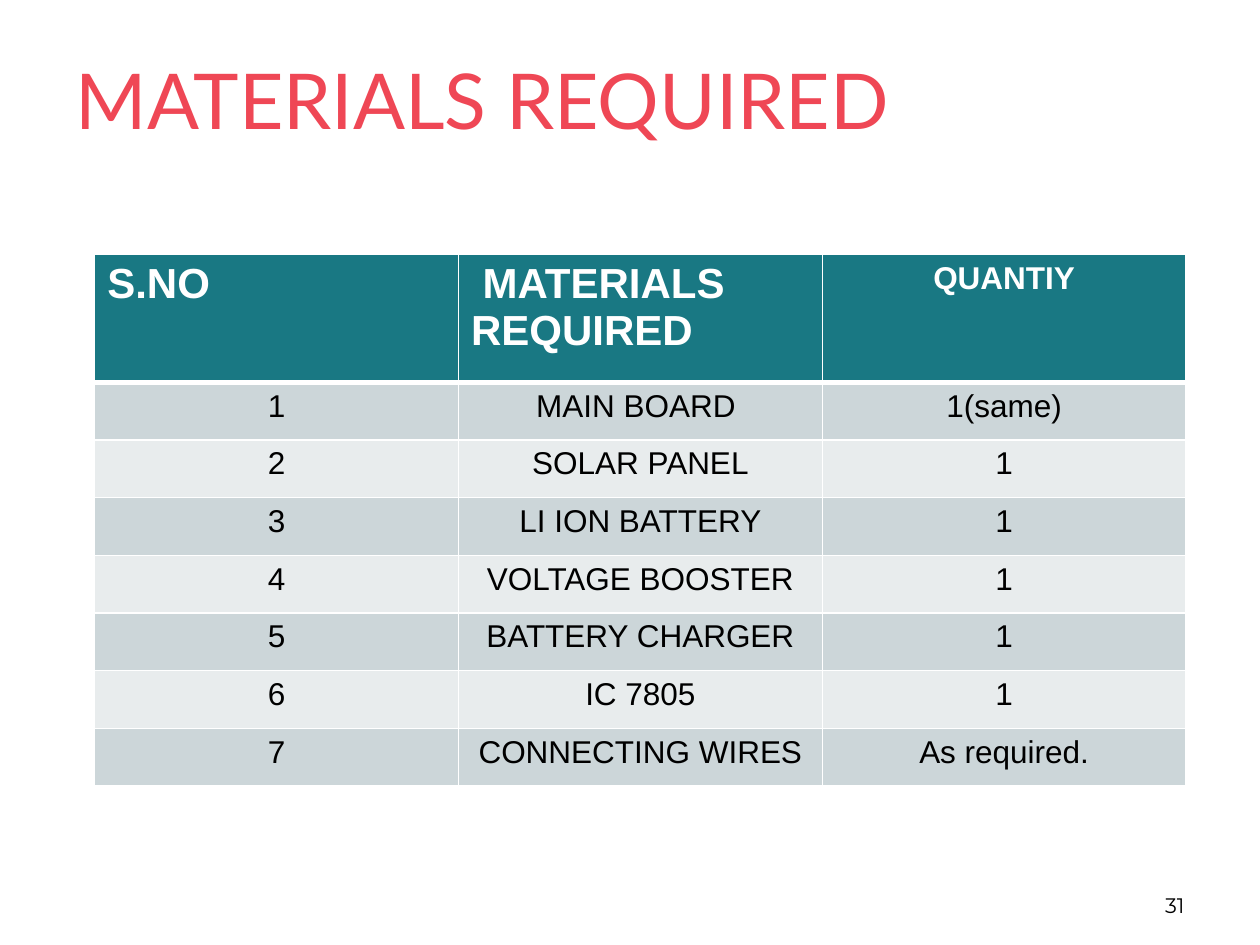
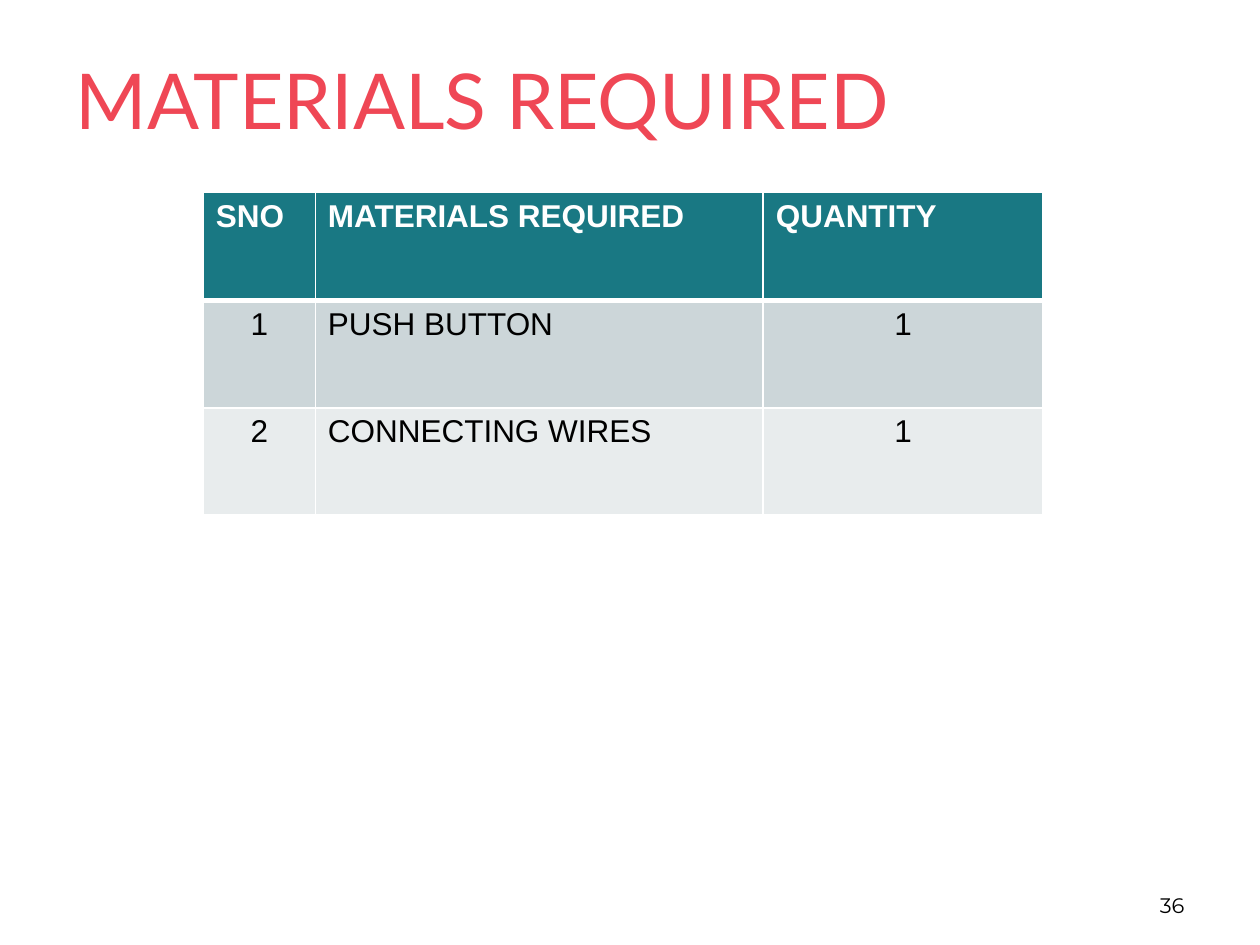
from dataclasses import dataclass

from lxml.etree import SubElement
from pptx import Presentation
from pptx.dml.color import RGBColor
from pptx.enum.text import MSO_ANCHOR, MSO_AUTO_SIZE, PP_ALIGN
from pptx.oxml.ns import qn
from pptx.util import Cm, Pt


@dataclass(frozen=True)
class Theme:
    accent: str = "EF4755"
    header: str = "197883"
    bands: tuple = ("CCD6D9", "E8ECED")
    white: str = "FFFFFF"
    black: str = "000000"
    title_font: str = "Lato"
    table_font: str = "Arial"
    number_font: str = "Montserrat"
    title_size: int = 44
    large_header_size: int = 24
    table_size: int = 18
    number_size: int = 12
    rule: int = 1
    header_rule: int = 3


THEME = Theme()
TITLE_ONLY = 5
LEFT, CENTER, RIGHT = PP_ALIGN.LEFT, PP_ALIGN.CENTER, PP_ALIGN.RIGHT

# Boxes are left, top, width, height in centimetres
TITLE_BOX = (1.27, 1.27, 22.86, 1.45)
NUMBER_BOX = (18.21, 17.35, 5.92, 1.27)


def write_text(frame, text, *, font, size, color, bold=False, align=LEFT):
    paragraph = frame.paragraphs[0]
    paragraph.alignment = align
    run = paragraph.add_run()
    run.text = text
    run.font.name = font
    run.font.size = Pt(size)
    run.font.bold = bold
    run.font.color.rgb = RGBColor.from_string(color)


def add_title(slide, text, box):
    title = slide.shapes.title
    title.left, title.top, title.width, title.height = map(Cm, box)
    frame = title.text_frame
    frame.auto_size = MSO_AUTO_SIZE.NONE
    frame.vertical_anchor = MSO_ANCHOR.MIDDLE
    write_text(frame, text, font=THEME.title_font, size=THEME.title_size,
               color=THEME.accent)


def add_page_number(slide, number, box):
    frame = slide.shapes.add_textbox(*map(Cm, box)).text_frame
    frame.word_wrap = True
    frame.vertical_anchor = MSO_ANCHOR.BOTTOM
    write_text(frame, str(number), font=THEME.number_font,
               size=THEME.number_size, color=THEME.black, align=RIGHT)


def style_cell(cell, fill, top, bottom):
    """Fill a cell and rule its sides; top and bottom are widths in points."""
    cell.fill.solid()
    cell.fill.fore_color.rgb = RGBColor.from_string(fill)
    properties = cell._tc.get_or_add_tcPr()
    sides = (("L", THEME.rule), ("R", THEME.rule), ("T", top), ("B", bottom))
    for index, (side, width) in enumerate(sides):
        line = SubElement(properties, qn(f"a:ln{side}"), w=str(Pt(width)))
        color = SubElement(SubElement(line, qn("a:solidFill")), qn("a:srgbClr"))
        color.set("val", THEME.white)
        properties.insert(index, line)  # borders come before the fill


def add_materials_table(slide, rows, box, column_shares, header_height,
                        header_formats, body_aligns):
    left, top, width, height = box
    frame = slide.shapes.add_table(len(rows), len(rows[0]), *map(Cm, box))
    table = frame.table

    # Grid: columns by share, body rows of equal height
    for column, share in zip(table.columns, column_shares):
        column.width = Cm(width * share / sum(column_shares))
    body_height = (height - header_height) / (len(rows) - 1)
    for index, row in enumerate(table.rows):
        row.height = Cm(body_height if index else header_height)

    # Cells: a header, then alternating bands
    for row_index, values in enumerate(rows):
        is_header = row_index == 0
        fill = THEME.header if is_header else THEME.bands[(row_index - 1) % 2]
        top_rule = THEME.header_rule if row_index == 1 else THEME.rule
        bottom_rule = THEME.header_rule if is_header else THEME.rule
        for column_index, value in enumerate(values):
            cell = table.cell(row_index, column_index)
            style_cell(cell, fill, top_rule, bottom_rule)
            if is_header:
                size, align = header_formats[column_index]
            else:
                size, align = THEME.table_size, body_aligns[column_index]
            write_text(cell.text_frame, value, font=THEME.table_font, size=size,
                       color=THEME.white if is_header else THEME.black,
                       bold=is_header, align=align)


def add_materials_slide(presentation, number, **table):
    layout = presentation.slide_layouts[TITLE_ONLY]
    slide = presentation.slides.add_slide(layout)
    add_title(slide, "MATERIALS REQUIRED", TITLE_BOX)
    add_materials_table(slide, **table)
    add_page_number(slide, number, NUMBER_BOX)


def main():
    presentation = Presentation()
    presentation.slide_width = Cm(25.4)
    presentation.slide_height = Cm(19.05)

    # Main circuit
    add_materials_slide(
        presentation, 31,
        rows=[
            ("S.NO", " MATERIALS REQUIRED", "QUANTIY"),
            ("1", "MAIN BOARD ", "1(same)"),
            ("2", "SOLAR PANEL", "1"),
            ("3", "LI ION BATTERY", "1"),
            ("4", "VOLTAGE BOOSTER", "1"),
            ("5", "BATTERY CHARGER", "1"),
            ("6", "IC 7805", "1"),
            ("7", "CONNECTING WIRES", "As required."),
        ],
        box=(1.91, 5.13, 22, 10.72),
        column_shares=(1, 1, 1),
        header_height=2.58,
        header_formats=[(THEME.large_header_size, LEFT),
                        (THEME.large_header_size, LEFT),
                        (THEME.table_size, CENTER)],
        body_aligns=(CENTER, CENTER, CENTER),
    )

    # Push button
    add_materials_slide(
        presentation, 36,
        rows=[
            ("SNO", "MATERIALS REQUIRED", "QUANTITY"),
            ("1", "PUSH BUTTON", "1"),
            ("2", "CONNECTING WIRES", "1"),
        ],
        box=(4.1, 3.88, 16.93, 6.5),
        column_shares=(2, 8, 5),
        header_height=2.18,
        header_formats=[(THEME.table_size, LEFT)] * 3,
        body_aligns=(CENTER, LEFT, CENTER),
    )

    presentation.save("out.pptx")


if __name__ == "__main__":
    main()
